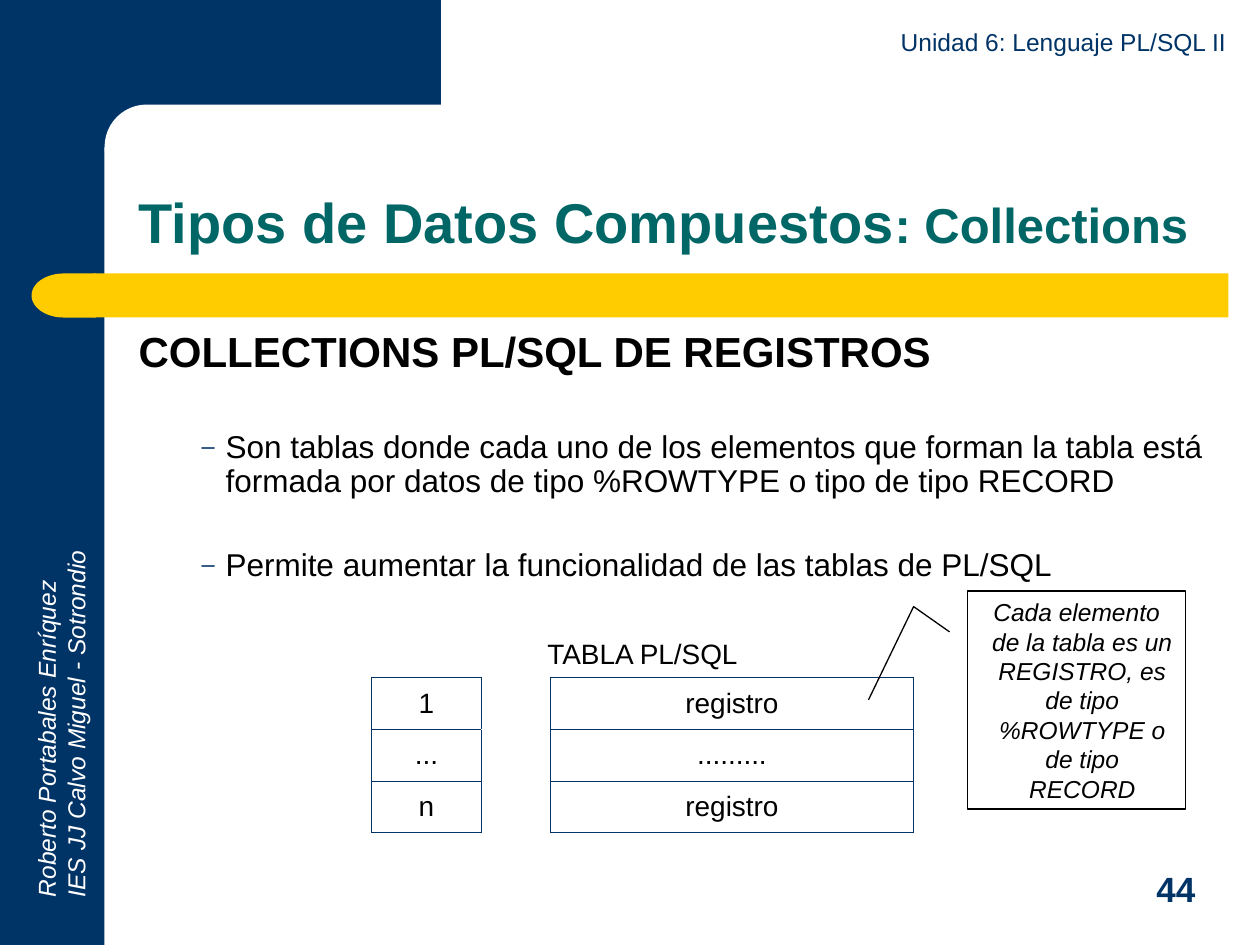
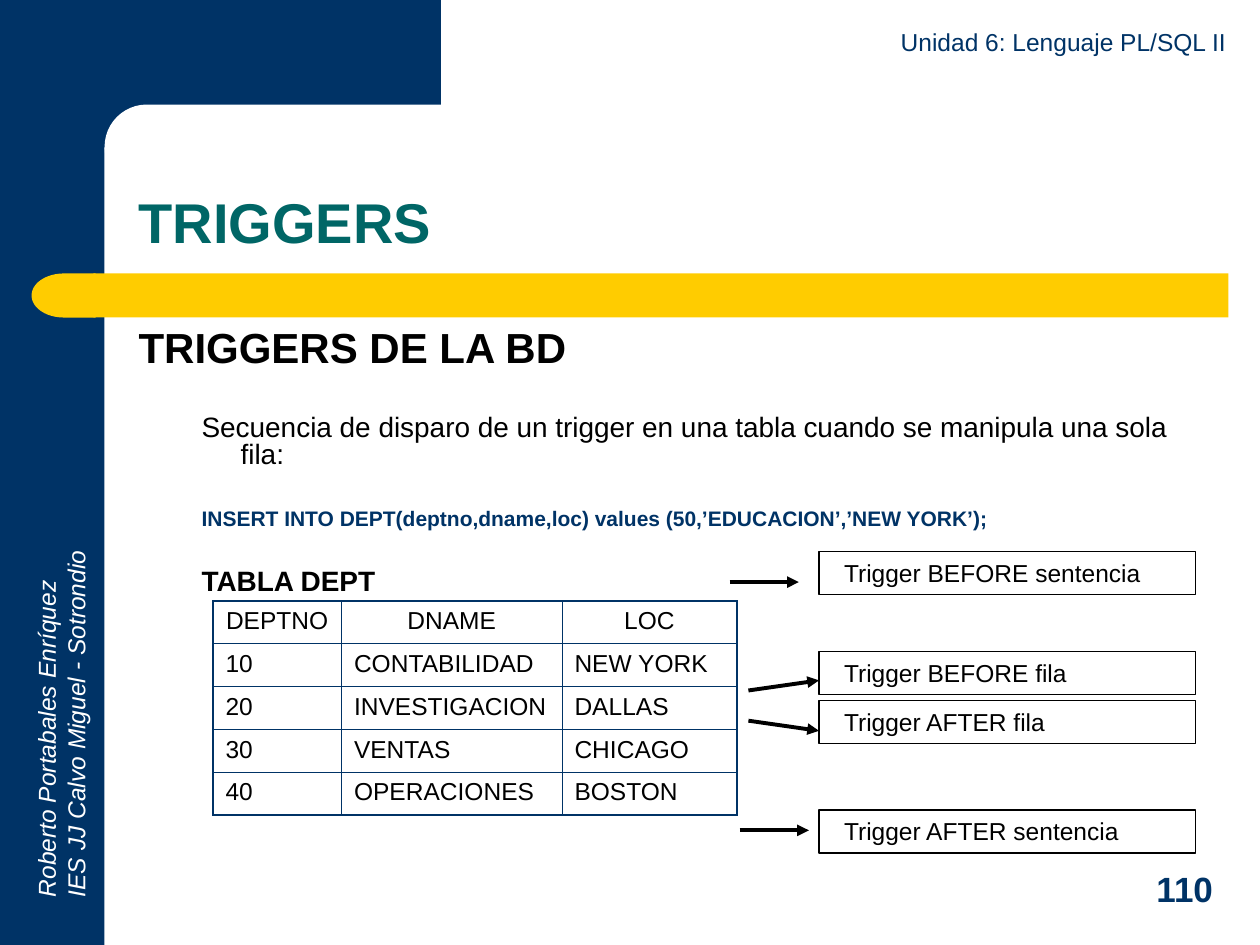
from lxml import etree
from pptx import Presentation
from pptx.dml.color import RGBColor
from pptx.enum.shapes import MSO_CONNECTOR, MSO_SHAPE
from pptx.enum.text import MSO_ANCHOR, MSO_AUTO_SIZE, PP_ALIGN
from pptx.oxml.ns import qn
from pptx.util import Inches, Pt

NAVY = RGBColor(0x00, 0x33, 0x66)
TEAL = RGBColor(0x00, 0x66, 0x66)
YELLOW = RGBColor(0xFF, 0xCC, 0x00)
WHITE = RGBColor(0xFF, 0xFF, 0xFF)
BLACK = RGBColor(0x00, 0x00, 0x00)
FONT = "Arial"

LEFT, CENTER, RIGHT = PP_ALIGN.LEFT, PP_ALIGN.CENTER, PP_ALIGN.RIGHT
TOP, MIDDLE, BOTTOM = MSO_ANCHOR.TOP, MSO_ANCHOR.MIDDLE, MSO_ANCHOR.BOTTOM
RECTANGLE, ROUNDED = MSO_SHAPE.RECTANGLE, MSO_SHAPE.ROUNDED_RECTANGLE
DELAY, CALLOUT = MSO_SHAPE.FLOWCHART_DELAY, MSO_SHAPE.LINE_CALLOUT_2
STRAIGHT = MSO_CONNECTOR.STRAIGHT
NO_AUTOFIT = MSO_AUTO_SIZE.NONE
NO_TABLE_STYLE = "{2D5ABB26-0587-4C30-8999-92F81FD0307C}"
THIN, THICK = 0.45, 1.08

# Shared frame
UNIT = "Unidad 6: Lenguaje PL/SQL II"
AUTHOR_LINES = ["Roberto Portabales Enríquez", "IES JJ Calvo Miguel - Sotrondio"]
FRAME_SHAPES = [
    (RECTANGLE, (0, 0, 0.83, 7.5), NAVY),
    (RECTANGLE, (0.75, 0, 2.75, 1.17), NAVY),
    (ROUNDED, (0.83, 0.83, 5.58, 0.67), WHITE),
    (RECTANGLE, (0.74, 2.17, 9.01, 0.35), YELLOW),
    (DELAY, (0.25, 2.17, 0.51, 0.35), YELLOW),
]

# Text formats
HEADING = {"size": Pt(24), "bold": True, "color": BLACK}
ITEM = {"size": Pt(18), "bold": False, "color": BLACK}
SENTENCE = {"size": Pt(16), "bold": False, "color": BLACK}
STATEMENT = {"size": Pt(12), "bold": True, "color": NAVY}
CAPTION = {"size": Pt(16), "bold": True, "color": BLACK}
LABEL = {"size": Pt(14), "color": BLACK}

# Body paragraphs: text, format, space before, (margin, indent), bullet
COLLECTIONS = {
    "title": [("Tipos de Datos Compuestos", 32), (": Collections", 28)],
    "number": "44",
    "body_width": 8.8,
    "line_spacing": 0.9,
    "body": [
        ("COLLECTIONS PL/SQL DE REGISTROS", HEADING, 0, (0.3, -0.3), None),
        ("Son tablas donde cada uno de los elementos que forman la tabla está "
         "formada por datos de tipo %ROWTYPE o tipo de tipo RECORD",
         ITEM, 31, (0.69, -0.19), "–"),
        ("Permite aumentar la funcionalidad de las tablas de PL/SQL",
         ITEM, 28.5, (0.69, -0.19), "–"),
    ],
}
TRIGGERS = {
    "title": [("TRIGGERS", 32)],
    "number": "110",
    "body_width": 8.57,
    "line_spacing": 0.8,
    "body": [
        ("TRIGGERS DE LA BD", HEADING, 0, (0, 0), None),
        ("Secuencia de disparo de un trigger en una tabla cuando se manipula "
         "una sola fila:", SENTENCE, 25.5, (0.81, -0.31), None),
        ("INSERT INTO DEPT(deptno,dname,loc) values (50,’EDUCACION’,’NEW YORK’);",
         STATEMENT, 23, (0.81, -0.31), None),
        ("TABLA DEPT", CAPTION, 22.5, (0.81, -0.31), None),
    ],
}

RECORD_TITLE = "TABLA PL/SQL"
RECORD_ROWS = [("1", "registro"), ("...", "........."), ("n", "registro")]
CALLOUT_TEXT = ("Cada elemento de la tabla es un REGISTRO, es de tipo "
                "%ROWTYPE o de tipo RECORD")
CALLOUT_POINTS = [0.188, -0.083, 0.072, -0.248, 0.5, -0.455]

DEPARTMENTS = [
    ("DEPTNO", "DNAME", "LOC"),
    ("10", "CONTABILIDAD", "NEW YORK"),
    ("20", "INVESTIGACION", "DALLAS"),
    ("30", "VENTAS", "CHICAGO"),
    ("40", "OPERACIONES", "BOSTON"),
]
# Label, top of its box, arrow start and arrow end
TRIGGER_STEPS = [
    ("Trigger BEFORE sentencia", 4.38, (5.79, 4.62), (6.34, 4.62)),
    ("Trigger BEFORE fila", 5.17, (5.94, 5.48), (6.5, 5.4)),
    ("Trigger AFTER fila", 5.56, (5.94, 5.72), (6.5, 5.8)),
    ("Trigger AFTER sentencia", 6.43, (5.87, 6.59), (6.42, 6.59)),
]


def inches(values):
    return [Inches(value) for value in values]


def place(shape, box):
    shape.left, shape.top, shape.width, shape.height = inches(box)


def add_run(paragraph, text, style):
    run = paragraph.add_run()
    run.text = text
    for name, value in {"name": FONT, **style}.items():
        if name == "color":
            run.font.color.rgb = value
        else:
            setattr(run.font, name, value)


def indent(paragraph, margin, first_line):
    properties = paragraph._p.get_or_add_pPr()
    properties.set("marL", str(Inches(margin)))
    properties.set("indent", str(Inches(first_line)))
    return properties


def set_bullet(properties, character):
    if character is None:
        etree.SubElement(properties, qn("a:buNone"))
        return
    color = etree.SubElement(properties, qn("a:buClr"))
    etree.SubElement(color, qn("a:srgbClr"), val=str(NAVY))
    etree.SubElement(properties, qn("a:buSzPct"), val="75000")
    etree.SubElement(properties, qn("a:buChar"), char=character)


def write_lines(frame, lines, style, alignment=LEFT, anchor=TOP):
    frame.word_wrap = True
    frame.vertical_anchor = anchor
    for index, line in enumerate(lines):
        paragraph = frame.add_paragraph() if index else frame.paragraphs[0]
        paragraph.alignment = alignment
        add_run(paragraph, line, style)


def add_text(slide, box, lines, style, alignment=LEFT, anchor=TOP):
    text_box = slide.shapes.add_textbox(*inches(box))
    write_lines(text_box.text_frame, lines, style, alignment, anchor)
    return text_box


def add_frame(slide):
    """Draw the bands and author on the slide, then move them to its layout."""
    parts = []
    for kind, box, color in FRAME_SHAPES:
        shape = slide.shapes.add_shape(kind, *inches(box))
        shape.shadow.inherit = False
        shape.fill.solid()
        shape.fill.fore_color.rgb = color
        shape.line.fill.background()
        if kind == ROUNDED:
            shape.adjustments[0] = 0.5
        if kind == DELAY:
            shape.rotation = 180
        parts.append(shape)
    author = add_text(slide, (-1.17, 5.28, 3.31, 0.57), AUTHOR_LINES,
                      {"size": Pt(14), "italic": True, "color": WHITE})
    author.rotation = 270
    for part in parts + [author]:
        slide.slide_layout.shapes.element.append(part.element)


def add_content_slide(presentation, content):
    slide = presentation.slides.add_slide(presentation.slide_layouts[1])
    add_text(slide, (3.58, 0.16, 6.25, 0.34), [UNIT],
             {"size": Pt(14), "color": NAVY}, RIGHT, BOTTOM)
    add_text(slide, (9.08, 6.83, 0.75, 0.44), [content["number"]],
             {"size": Pt(20), "bold": True, "color": NAVY}, LEFT, MIDDLE)

    title = slide.shapes.title
    place(title, (1, 0.83, 8.75, 1.25))
    title.text_frame.auto_size = NO_AUTOFIT
    title.text_frame.vertical_anchor = BOTTOM
    paragraph = title.text_frame.paragraphs[0]
    paragraph.alignment = LEFT
    paragraph.line_spacing = 0.9
    for text, size in content["title"]:
        add_run(paragraph, text, {"size": Pt(size), "bold": True, "color": TEAL})

    body = slide.placeholders[1]
    place(body, (1, 2.58, content["body_width"], 4.08))
    frame = body.text_frame
    frame.auto_size = NO_AUTOFIT
    for index, (text, style, space, margins, bullet) in enumerate(content["body"]):
        paragraph = frame.add_paragraph() if index else frame.paragraphs[0]
        paragraph.level = 1 if index else 0
        paragraph.line_spacing = content["line_spacing"]
        paragraph.space_before = Pt(space)
        set_bullet(indent(paragraph, *margins), bullet)
        add_run(paragraph, text, style)
    return slide


def add_plain_table(slide, left, top, widths, heights):
    box = inches((left, top, sum(widths), sum(heights)))
    frame = slide.shapes.add_table(len(heights), len(widths), *box)
    for style in frame.element.iter(qn("a:tableStyleId")):
        style.text = NO_TABLE_STYLE
    table = frame.table
    table.first_row = table.horz_banding = False
    for column, width in zip(table.columns, widths):
        column.width = Inches(width)
    for row, height in zip(table.rows, heights):
        row.height = Inches(height)
    return table


def fill_cell(cell, text, size, alignment, anchor):
    cell.fill.background()
    cell.vertical_anchor = anchor
    cell.margin_left = cell.margin_right = Inches(0.1)
    cell.margin_top = cell.margin_bottom = Inches(0.05)
    paragraph = cell.text_frame.paragraphs[0]
    paragraph.alignment = alignment
    add_run(paragraph, text, {"size": Pt(size), "color": BLACK})


def set_borders(cell, color=NAVY, left=THIN, right=THIN, top=THIN, bottom=THIN):
    """Draw the cell's borders; a width of None leaves that side unset."""
    properties = cell._tc.get_or_add_tcPr()
    sides = [("a:lnL", left), ("a:lnR", right), ("a:lnT", top), ("a:lnB", bottom)]
    drawn = [(tag, width) for tag, width in sides if width is not None]
    for position, (tag, width) in enumerate(drawn):
        line = etree.Element(qn(tag), w=str(Pt(width)))
        fill = etree.SubElement(line, qn("a:solidFill"))
        etree.SubElement(fill, qn("a:srgbClr"), val=str(color))
        properties.insert(position, line)


def add_outlined(slide, kind, box, text, style, alignment, margins):
    shape = slide.shapes.add_shape(kind, *inches(box))
    shape.shadow.inherit = False
    shape.fill.background()
    shape.line.color.rgb = BLACK
    shape.line.width = Pt(0.75)
    write_lines(shape.text_frame, [text], style, alignment)
    indent(shape.text_frame.paragraphs[0], *margins)
    return shape


def add_arrow(slide, start, end):
    arrow = slide.shapes.add_connector(STRAIGHT, *inches(start + end))
    arrow.line.color.rgb = BLACK
    arrow.line.width = Pt(2.25)
    etree.SubElement(arrow.line._get_or_add_ln(), qn("a:tailEnd"), type="triangle")
    etree.SubElement(arrow.element.spPr, qn("a:effectLst"))


def add_record_table(slide):
    heights = [0.37] + [0.41] * len(RECORD_ROWS)
    table = add_plain_table(slide, 2.95, 5.01, (0.87, 0.55, 2.88), heights)
    table.cell(0, 0).merge(table.cell(0, 2))
    fill_cell(table.cell(0, 0), RECORD_TITLE, 16, CENTER, MIDDLE)
    for row, texts in enumerate(RECORD_ROWS, start=1):
        for column, text in zip((0, 2), texts):
            cell = table.cell(row, column)
            fill_cell(cell, text, 16, CENTER, MIDDLE)
            set_borders(cell)
    # The gap between both columns stays open below the merged heading
    set_borders(table.cell(1, 1), WHITE, None, None, THICK, None)


def add_department_table(slide):
    widths = (1.02, 1.75, 1.39)
    last_row, last_column = len(DEPARTMENTS) - 1, len(widths) - 1
    table = add_plain_table(slide, 1.69, 4.77, widths, [0.34] * len(DEPARTMENTS))
    for row, texts in enumerate(DEPARTMENTS):
        for column, text in enumerate(texts):
            cell = table.cell(row, column)
            fill_cell(cell, text, 14, LEFT if row else CENTER, TOP)
            set_borders(cell,
                        left=THIN if column else THICK,
                        right=THICK if column == last_column else THIN,
                        top=THIN if row else THICK,
                        bottom=THICK if row == last_row else THIN)


def main():
    presentation = Presentation()
    presentation.slide_width, presentation.slide_height = inches((10, 7.5))

    collections_slide = add_content_slide(presentation, COLLECTIONS)
    add_frame(collections_slide)
    add_record_table(collections_slide)
    callout = add_outlined(collections_slide, CALLOUT, (7.68, 4.69, 1.73, 1.73),
                           CALLOUT_TEXT, {**LABEL, "italic": True}, CENTER,
                           (0.09, -0.09))
    for index, value in enumerate(CALLOUT_POINTS):
        callout.adjustments[index] = value

    triggers_slide = add_content_slide(presentation, TRIGGERS)
    add_department_table(triggers_slide)
    for text, top, start, end in TRIGGER_STEPS:
        add_outlined(triggers_slide, RECTANGLE, (6.5, top, 2.99, 0.34), text,
                     LABEL, LEFT, (0.1, 0))
        add_arrow(triggers_slide, start, end)

    presentation.save("out.pptx")


if __name__ == "__main__":
    main()
